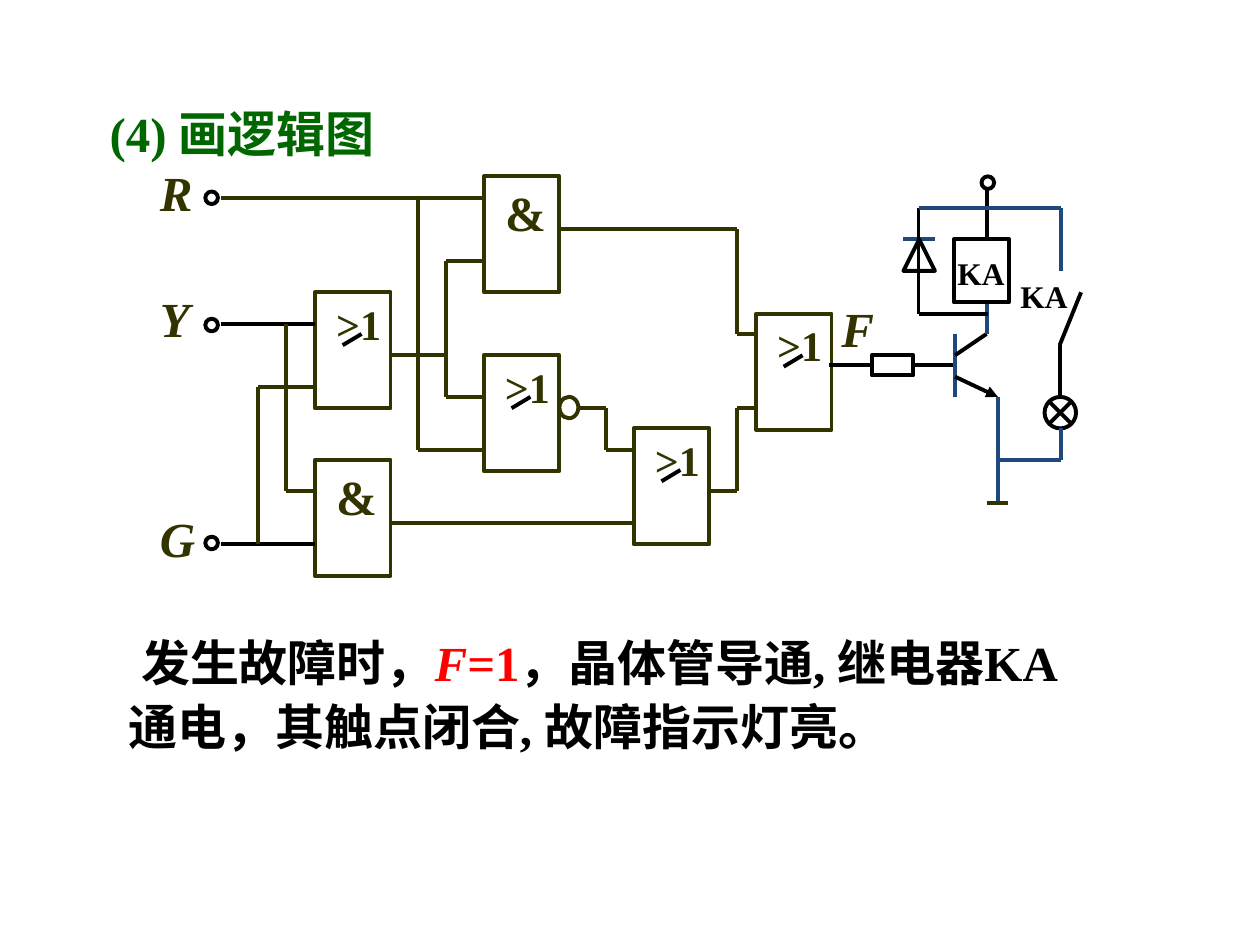
"""Build the slide with the fault alarm logic circuit and its relay driver."""
import itertools
import pptx
import pptx.dml.color
import pptx.enum.shapes
import pptx.enum.text
import pptx.oxml.ns
import pptx.util
from lxml import etree

Inches = pptx.util.Inches
Pt = pptx.util.Pt
FORM = pptx.enum.shapes.MSO_SHAPE
HUES = {"ink": "000000", "logic": "333300", "blue": "1F497D", "head": "006600", "hot": "FF0000"}


def rgb(hue):
    return pptx.dml.color.RGBColor.from_string(HUES[hue])


def add_tag(node, tag, **attrs):
    return etree.SubElement(node, pptx.oxml.ns.qn(tag), **attrs)


class Board:
    """Hold the style and the current slide."""

    font = "Times New Roman"
    width = 2.25

    def __init__(self, slide):
        self.slide = slide
        self.shapes = slide.shapes

    def add_text(self, para, text, hue, size=28, slant=False):
        run = para.add_run()
        run.text = text
        font = run.font
        font.name, font.size = self.font, Pt(size)
        font.bold, font.italic = True, slant
        font.color.rgb = rgb(hue)

    def block(self, holder, box, runs, space=1.0, inset=0.1):
        holder.left, holder.top, holder.width, holder.height = map(Inches, box)
        frame = holder.text_frame
        frame.word_wrap = True
        frame.auto_size = pptx.enum.text.MSO_AUTO_SIZE.NONE
        frame.vertical_anchor = pptx.enum.text.MSO_ANCHOR.TOP
        frame.margin_right = Inches(inset)
        para = frame.paragraphs[0]
        para.alignment = pptx.enum.text.PP_ALIGN.LEFT
        para.line_spacing, para.space_before = space, Pt(0)
        props = para._p.get_or_add_pPr()
        props.set("marL", "0")
        props.set("indent", str(Inches(0.1)))
        add_tag(props, "a:buNone")
        for run in runs:
            self.add_text(para, *run)

    def label(self, text, x, y, hue="logic", size=28, wide=0.67, slant=False):
        high = {28: 0.57, 24: 0.5, 18: 0.4}[size]
        box = self.shapes.add_textbox(Inches(x), Inches(y), Inches(wide), Inches(high))
        box.text_frame.word_wrap = True
        self.add_text(box.text_frame.paragraphs[0], text, hue, size, slant)

    def shape(self, form, x, y, wide, high, hue="ink"):
        part = self.shapes.add_shape(form, Inches(x), Inches(y), Inches(wide), Inches(high))
        part.shadow.inherit = False
        part.fill.background()
        part.line.color.rgb = rgb(hue)
        part.line.width = Pt(self.width)
        return part

    def wire(self, hue, *points):
        for start, end in itertools.pairwise(points):
            link = self.shapes.add_connector(
                pptx.enum.shapes.MSO_CONNECTOR.STRAIGHT, *map(Inches, start + end))
            link.line.color.rgb = rgb(hue)
            link.line.width = Pt(self.width)
            add_tag(link._element.spPr, "a:effectLst")
        return link

    def arrow(self, hue, *points):
        link = self.wire(hue, *points)
        add_tag(link.line._get_or_add_ln(), "a:tailEnd", type="triangle")

    def gate(self, sign, x, y):
        self.shape(FORM.RECTANGLE, x, y, 0.6, 0.92, "logic")
        if sign == "&":
            self.label(sign, x + 0.07, y, wide=0.45)
        else:
            self.label(sign, x + 0.07, y, size=24)
            self.wire("ink", (x + 0.37, y + 0.33), (x + 0.22, y + 0.42))

    def node(self, x, y):
        self.shape(FORM.OVAL, x, y, 0.1, 0.1)


def draw_logic(board):
    for name, x, y in (("R", 1.17, 1.24), ("Y", 1.17, 2.24), ("G", 1.17, 3.99), ("F", 6.58, 2.32)):
        board.label(name, x, y, slant=True)
    for sign, x, y in (("&", 3.84, 1.4), (">1", 3.84, 2.82), (">1", 2.5, 2.32),
                       ("&", 2.5, 3.65), (">1", 5.03, 3.4), (">1", 6, 2.49)):
        board.gate(sign, x, y)
    board.shape(FORM.OVAL, 4.44, 3.15, 0.15, 0.17, "logic")
    for y in (1.52, 2.53, 4.26):
        board.node(1.63, y)
    for y in (2.57, 4.32):
        board.wire("ink", (1.75, y), (2.5, y))
    for route in (
        ((1.75, 1.57), (3.84, 1.57)),
        ((3.32, 1.57), (3.32, 3.57), (3.84, 3.57)),
        ((2.27, 2.57), (2.27, 3.9), (2.5, 3.9)),
        ((2.05, 4.32), (2.05, 3.07), (2.5, 3.07)),
        ((3.09, 2.82), (3.54, 2.82)),
        ((3.84, 2.07), (3.54, 2.07), (3.54, 3.15), (3.84, 3.15)),
        ((3.09, 4.15), (5.03, 4.15)),
        ((4.59, 3.24), (4.81, 3.24), (4.81, 3.57), (5.03, 3.57)),
        ((5.63, 3.9), (5.85, 3.9), (5.85, 3.24), (6, 3.24)),
        ((4.44, 1.82), (5.85, 1.82), (5.85, 2.65), (6, 2.65)),
    ):
        board.wire("logic", *route)


def draw_driver(board):
    load = board.shape(FORM.RECTANGLE, 6.92, 2.82, 0.33, 0.16)
    board.wire("ink", (6.58, 2.9), (6.92, 2.9)).end_connect(load, 1)
    board.wire("ink", (7.25, 2.9), (7.58, 2.9)).begin_connect(load, 3)
    board.wire("blue", (7.58, 2.65), (7.58, 3.15))
    board.wire("ink", (7.58, 2.82), (7.83, 2.65))
    board.arrow("ink", (7.58, 2.99), (7.92, 3.15))
    board.wire("blue", (7.92, 3.15), (7.92, 3.99))
    board.wire("logic", (7.83, 3.99), (8, 3.99))
    board.wire("blue", (7.83, 2.4), (7.83, 2.65))
    board.shape(FORM.RECTANGLE, 7.57, 1.9, 0.44, 0.5)
    board.label("KA", 7.5, 1.97, "ink", 18)
    board.wire("ink", (7.83, 1.49), (7.83, 1.9))
    board.wire("blue", (7.17, 1.9), (7.42, 1.9))
    board.shape(FORM.ISOSCELES_TRIANGLE, 7.17, 1.9, 0.25, 0.25)
    board.wire("ink", (7.29, 1.65), (7.29, 2.49), (7.84, 2.49))
    board.wire("blue", (7.29, 1.65), (8.42, 1.65), (8.42, 2.15))
    board.node(7.79, 1.4)
    board.wire("ink", (8.58, 2.32), (8.41, 2.74), (8.41, 3.15))
    board.shape(FORM.FLOWCHART_SUMMING_JUNCTION, 8.29, 3.15, 0.25, 0.25)
    board.wire("blue", (8.42, 3.4), (8.42, 3.65), (7.92, 3.65))
    board.label("KA", 8, 2.15, "ink", 18, 0.6)


def main():
    deck = pptx.Presentation()
    deck.slide_width, deck.slide_height = Inches(10), Inches(7.5)
    slide = deck.slides.add_slide(deck.slide_layouts[1])
    board = Board(slide)
    board.block(slide.shapes.title, (0.67, 0.77, 2.41, 0.57), [("(4) 画逻辑图", "head")])
    draw_logic(board)
    draw_driver(board)
    board.block(slide.placeholders[1], (0.92, 4.92, 8, 1.13), [
        ("发生故障时，", "ink"),
        ("F", "hot", 28, True),
        ("=1", "hot"),
        ("，晶体管导通, 继电器KA通电，其触点闭合, 故障指示灯亮。", "ink"),
    ], 1.1, 0.3)
    deck.save("out.pptx")


if __name__ == "__main__":
    main()
